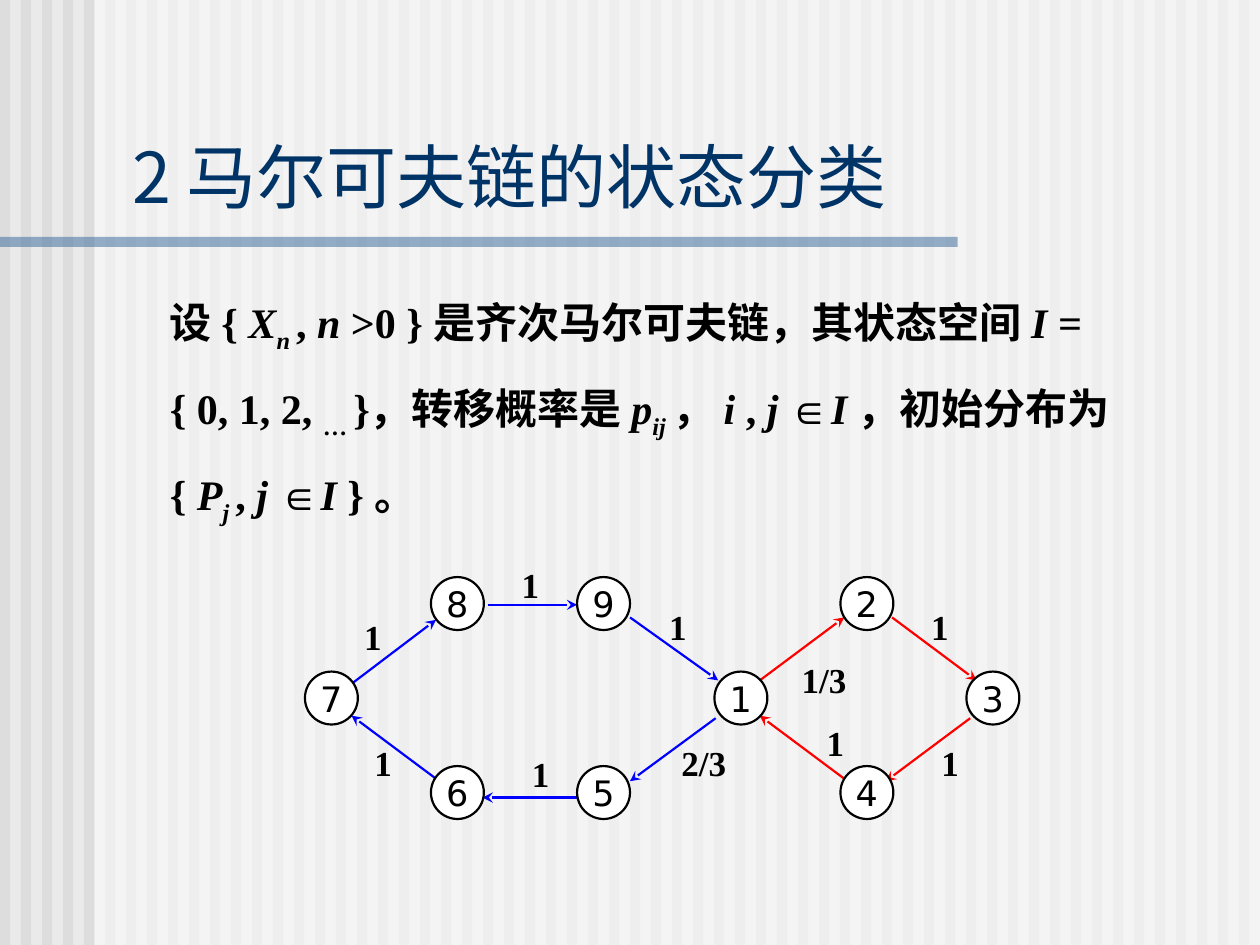
from lxml.etree import SubElement
from pptx import Presentation
from pptx.dml.color import RGBColor
from pptx.enum.shapes import MSO_CONNECTOR as Connector, MSO_SHAPE as Shape
from pptx.enum.text import MSO_ANCHOR as Anchor, MSO_AUTO_SIZE as AutoSize, PP_ALIGN as Align
from pptx.oxml.ns import qn
from pptx.util import Inches, Pt

COLORS = {"back": "EAEAEA", "stripe": "DDDDDD", "white": "FFFFFF", "rule": "336699",
          "title": "003366", "black": "000000", "red": "FF0000", "blue": "0000FF"}
CJK, SANS, ROMAN, SYMBOL = "Noto Sans CJK SC", "DejaVu Sans", "Times New Roman", "Arial"

STYLES = {
    "title": {"name": CJK, "size": Pt(40), "bold": False},
    "node": {"name": SANS, "size": Pt(20)},
    "label": {"name": ROMAN, "size": Pt(20), "bold": True},
    "han": {"name": SANS, "size": Pt(24), "bold": True},
    "plain": {"name": ROMAN, "size": Pt(24), "bold": True},
    "var": {"name": ROMAN, "size": Pt(24), "bold": True, "italic": True},
    "sub": {"name": ROMAN, "size": Pt(24), "bold": True, "italic": True},
    "dots": {"name": ROMAN, "size": Pt(24), "bold": True},
    "in": {"name": SYMBOL, "size": Pt(24), "bold": True},
}
SUBSCRIPTS = {"sub", "dots"}

DEFINITION = [
    ("设 ", "han"), ("{ ", "plain"), ("X", "var"), ("n ", "sub"), (", ", "plain"),
    ("n", "var"), (" >0 } ", "plain"), ("是齐次马尔可夫链，其状态空间 ", "han"),
    ("I = ", "var"), ("{ 0, 1, 2, ", "plain"), ("… ", "dots"),
    ("}，转移概率是 ", "plain"), ("p", "var"), ("ij ", "sub"), ("， ", "plain"),
    ("i ", "var"), (", ", "plain"), ("j ", "var"), ("∈", "in"), ("I ", "var"),
    ("，初始分布为{ ", "plain"), ("P", "var"), ("j ", "sub"), (", ", "plain"),
    ("j ", "var"), ("∈", "in"), ("I", "var"), (" } 。", "plain"),
]

NODE_SIZE = 0.42
NODES = {"7": (2.42, 5.33), "8": (3.42, 4.58), "6": (3.42, 6.08),
         "9": (4.58, 4.58), "5": (4.58, 6.08), "1": (5.67, 5.33),
         "2": (6.67, 4.58), "3": (7.67, 5.33), "4": (6.67, 6.08)}

TRANSITIONS = [
    ((7.08, 4.9), (7.75, 5.4), "red", "1", (7.25, 4.75, 0.42)),
    ((7.7, 5.7), (7.03, 6.2), "red", "1", (7.33, 5.83, 0.42)),
    ((6.7, 6.18), (6.03, 5.68), "red", "1", (6.42, 5.67, 0.42)),
    ((5.68, 5.7), (5, 6.2), "blue", "2/3", (5.25, 5.83, 0.67)),
    ((6.03, 5.4), (6.7, 4.9), "red", "1/3", (6.25, 5.17, 0.58)),
    ((3.87, 4.8), (4.58, 4.8), "blue", "1", (4, 4.42, 0.42)),
    ((4.6, 6.33), (3.83, 6.33), "blue", "1", (4.08, 5.92, 0.42)),
    ((3.46, 6.18), (2.79, 5.68), "blue", "1", (2.83, 5.83, 0.42)),
    ((2.8, 5.42), (3.46, 4.92), "blue", "1", (2.75, 4.83, 0.42)),
    ((5, 4.9), (5.7, 5.4), "blue", "1", (5.17, 4.75, 0.42)),
]


def color(key):
    return RGBColor.from_string(COLORS[key])


def apply(target, values):
    for name, value in values.items():
        setattr(target, name, value)


class Deck:
    def __init__(self):
        self.presentation = Presentation()
        apply(self.presentation, {"slide_width": Inches(10), "slide_height": Inches(7.5)})
        self.slide = self.presentation.slides.add_slide(self.presentation.slide_layouts[5])
        backdrop = self.slide.background.fill
        backdrop.solid()
        backdrop.fore_color.rgb = color("back")

    def fill_text(self, frame, runs, align=Align.CENTER, anchor=Anchor.MIDDLE,
                  ink="black", side=0.02, spacing=1):
        apply(frame, {"word_wrap": True, "auto_size": AutoSize.NONE, "vertical_anchor": anchor,
                      "margin_left": Inches(side), "margin_right": Inches(side),
                      "margin_top": Inches(0.05), "margin_bottom": Inches(0.05)})
        paragraph = frame.paragraphs[0]
        apply(paragraph, {"alignment": align, "line_spacing": spacing, "space_before": Pt(0)})
        for words, style in runs:
            run = paragraph.add_run()
            run.text = words
            apply(run.font, STYLES[style])
            run.font.color.rgb = color(ink)
            properties = run._r.get_or_add_rPr()
            SubElement(properties, qn("a:ea")).set("typeface", CJK)
            if style in SUBSCRIPTS:
                properties.set("baseline", "-25000")

    def title(self, words, left, top, width, height):
        heading = self.slide.shapes.title
        apply(heading, {"left": Inches(left), "top": Inches(top),
                        "width": Inches(width), "height": Inches(height)})
        heading.element.getparent().append(heading.element)
        self.fill_text(heading.text_frame, [(words, "title")], Align.LEFT, Anchor.BOTTOM,
                       "title", 0.1)

    def text(self, runs, left, top, width, height, **layout):
        box = self.slide.shapes.add_textbox(*map(Inches, (left, top, width, height)))
        self.fill_text(box.text_frame, runs, **layout)

    def shape(self, kind, fill, left, top, width, height, alpha=None):
        shape = self.slide.shapes.add_shape(kind, *map(Inches, (left, top, width, height)))
        shape.shadow.inherit = False
        shape.fill.solid()
        shape.fill.fore_color.rgb = color(fill)
        shape.line.fill.background()
        if alpha:
            tint = shape.element.spPr.find(qn("a:solidFill")).find(qn("a:srgbClr"))
            SubElement(tint, qn("a:alpha")).set("val", str(alpha * 1000))
        return shape

    def node(self, state, left, top):
        circle = self.shape(Shape.OVAL, "white", left, top, NODE_SIZE, NODE_SIZE)
        circle.line.color.rgb = color("black")
        circle.line.width = Pt(1.25)
        self.fill_text(circle.text_frame, [(state, "node")])

    def arrow(self, start, end, ink):
        arrow = self.slide.shapes.add_connector(Connector.STRAIGHT, *map(Inches, start + end))
        arrow.line.color.rgb = color(ink)
        arrow.line.width = Pt(1.25)
        properties = arrow.element.spPr
        SubElement(properties.find(qn("a:ln")), qn("a:tailEnd")).set("type", "stealth")
        SubElement(properties, qn("a:effectLst"))


def main():
    deck = Deck()
    for index in range(60):
        deck.shape(Shape.RECTANGLE, "stripe", index / 6, 0, 0.08, 7.5)
    deck.shape(Shape.RECTANGLE, "white", 0.75, 0, 9.25, 7.5, alpha=50)
    deck.shape(Shape.RECTANGLE, "rule", 0, 1.88, 7.6, 0.08, alpha=50)
    deck.title("2 马尔可夫链的状态分类", 0.95, 1.01, 8.93, 0.77)
    deck.text(DEFINITION, 1.25, 2.08, 7.92, 2.17, align=Align.LEFT,
              anchor=Anchor.TOP, side=0.1, spacing=1.5)
    for start, end, ink, probability, (left, top, width) in TRANSITIONS:
        deck.arrow(start, end, ink)
        deck.text([(probability, "label")], left, top, width, 0.44)
    for state, (left, top) in NODES.items():
        deck.node(state, left, top)
    deck.presentation.save("out.pptx")


if __name__ == "__main__":
    main()
